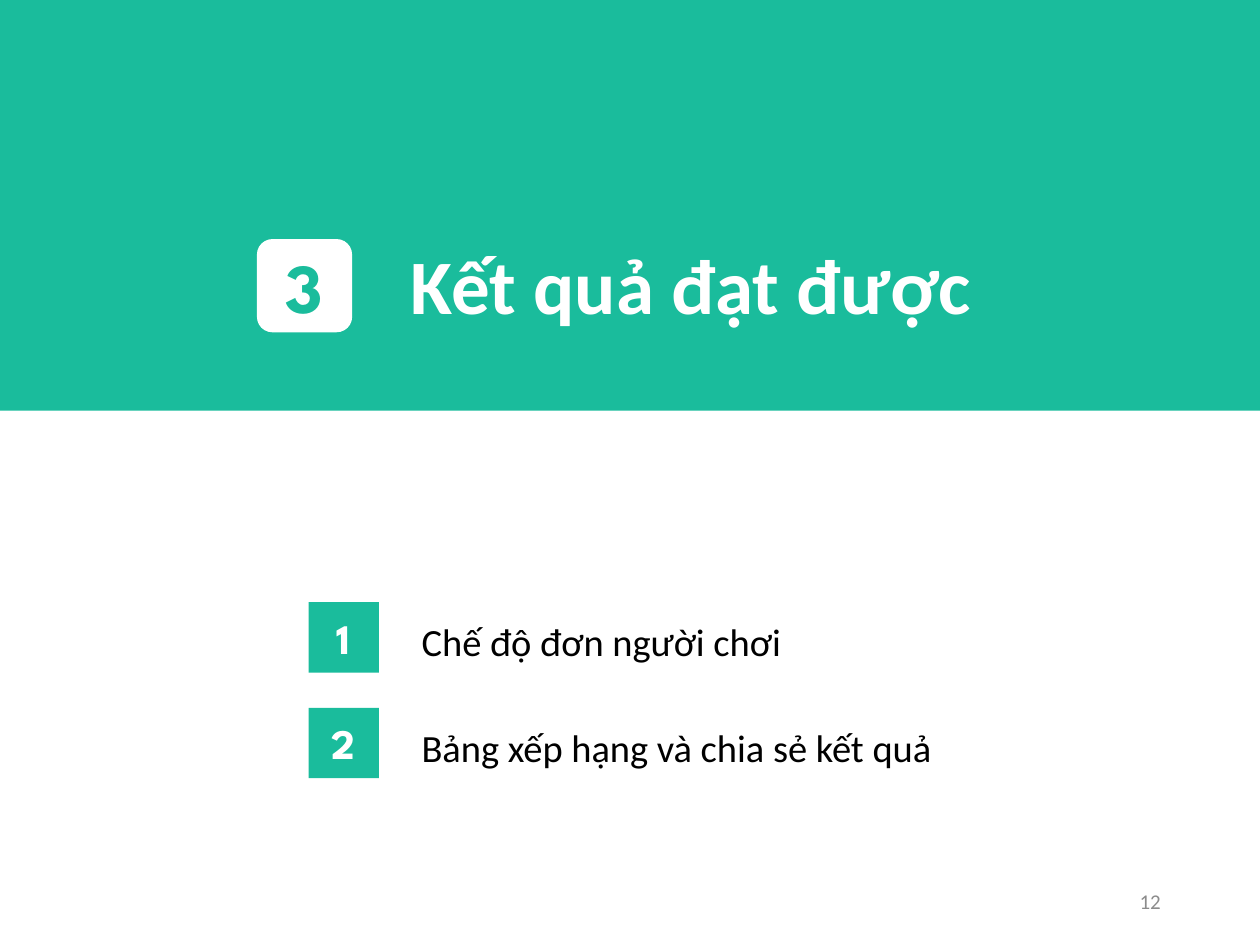
from pptx import Presentation
from pptx.dml.color import RGBColor
from pptx.enum.shapes import MSO_SHAPE as Shape
from pptx.enum.text import MSO_ANCHOR as Anchor, PP_ALIGN as Align
from pptx.util import Cm, Pt

# Content
SECTION = ("3", "Kết quả đạt được")
TOPICS = ["Chế độ đơn người chơi", "Bảng xếp hạng và chia sẻ kết quả"]
PAGE_NUMBER = "12"

# Style, lengths in centimetres
GREEN, WHITE, BLACK, GREY = "1ABC9C", "FFFFFF", "000000", "8C8C8C"
BODY_FONT, NUMBER_FONT = "Calibri", "League Spartan"
WIDTH, HEIGHT = 25.4, 19.05
TOPIC_TOP, TOPIC_STEP, TOPIC_BADGE = 12.14, 2.13, 1.42


def color(value):
    return RGBColor.from_string(value)


def write(shape, text, font, size, ink, bold=False, align=Align.LEFT,
          anchor=Anchor.TOP, wrap=True, spacing=None):
    frame = shape.text_frame
    frame.word_wrap = wrap
    frame.vertical_anchor = anchor
    paragraph = frame.paragraphs[0]
    paragraph.alignment = align
    if spacing:
        paragraph.line_spacing = spacing
    run = paragraph.add_run()
    run.text = text
    run.font.name = font
    run.font.size = Pt(size)
    run.font.bold = bold
    run.font.color.rgb = color(ink)


def add_block(shapes, kind, box, fill):
    shape = shapes.add_shape(kind, *map(Cm, box))
    shape.shadow.inherit = False
    shape.fill.solid()
    shape.fill.fore_color.rgb = color(fill)
    shape.line.fill.background()
    return shape


def add_badge(shapes, kind, box, fill, number, size, ink):
    badge = add_block(shapes, kind, box, fill)
    write(badge, number, NUMBER_FONT, size, ink, bold=True,
          align=Align.CENTER, anchor=Anchor.MIDDLE)


def add_label(shapes, box, text, size, ink, **style):
    label = shapes.add_textbox(*map(Cm, box))
    write(label, text, BODY_FONT, size, ink, **style)


def main():
    presentation = Presentation()
    presentation.slide_width, presentation.slide_height = Cm(WIDTH), Cm(HEIGHT)
    slide = presentation.slides.add_slide(presentation.slide_layouts[6])
    shapes = slide.shapes

    # Header band with the section number and title
    add_block(shapes, Shape.RECTANGLE, (0, 0, WIDTH, 8.28), GREEN)
    number, title = SECTION
    section = shapes.add_group_shape().shapes
    add_label(section, (8.03, 4.67, 11.94, 2.13), title, 44, WHITE,
              bold=True, wrap=False)
    add_badge(section, Shape.ROUNDED_RECTANGLE, (5.18, 4.82, 1.92, 1.88),
              WHITE, number, 40, GREEN)

    # Numbered topics
    for index, topic in enumerate(TOPICS):
        top = TOPIC_TOP + index * TOPIC_STEP
        row = shapes.add_group_shape().shapes
        add_label(row, (8.25, top + 0.1, 12.47, 1.24), topic, 22, BLACK,
                  spacing=1.1)
        add_badge(row, Shape.RECTANGLE, (6.22, top, TOPIC_BADGE, TOPIC_BADGE),
                  GREEN, str(index + 1), 24, WHITE)

    # Page number
    add_label(shapes, (17.93, 17.65, 5.72, 1.02), PAGE_NUMBER, 12, GREY,
              align=Align.RIGHT, anchor=Anchor.MIDDLE)

    presentation.save("out.pptx")


if __name__ == "__main__":
    main()
